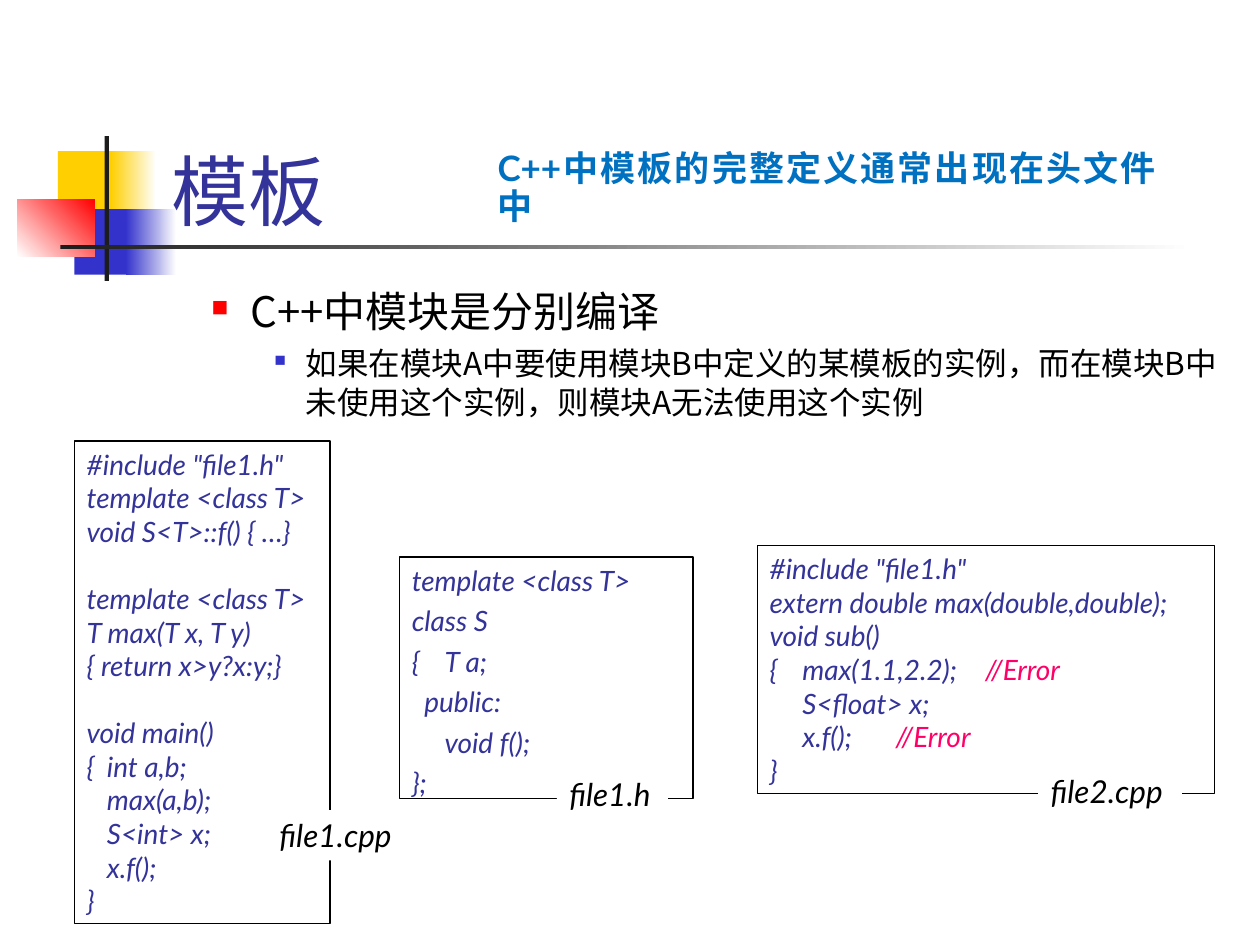
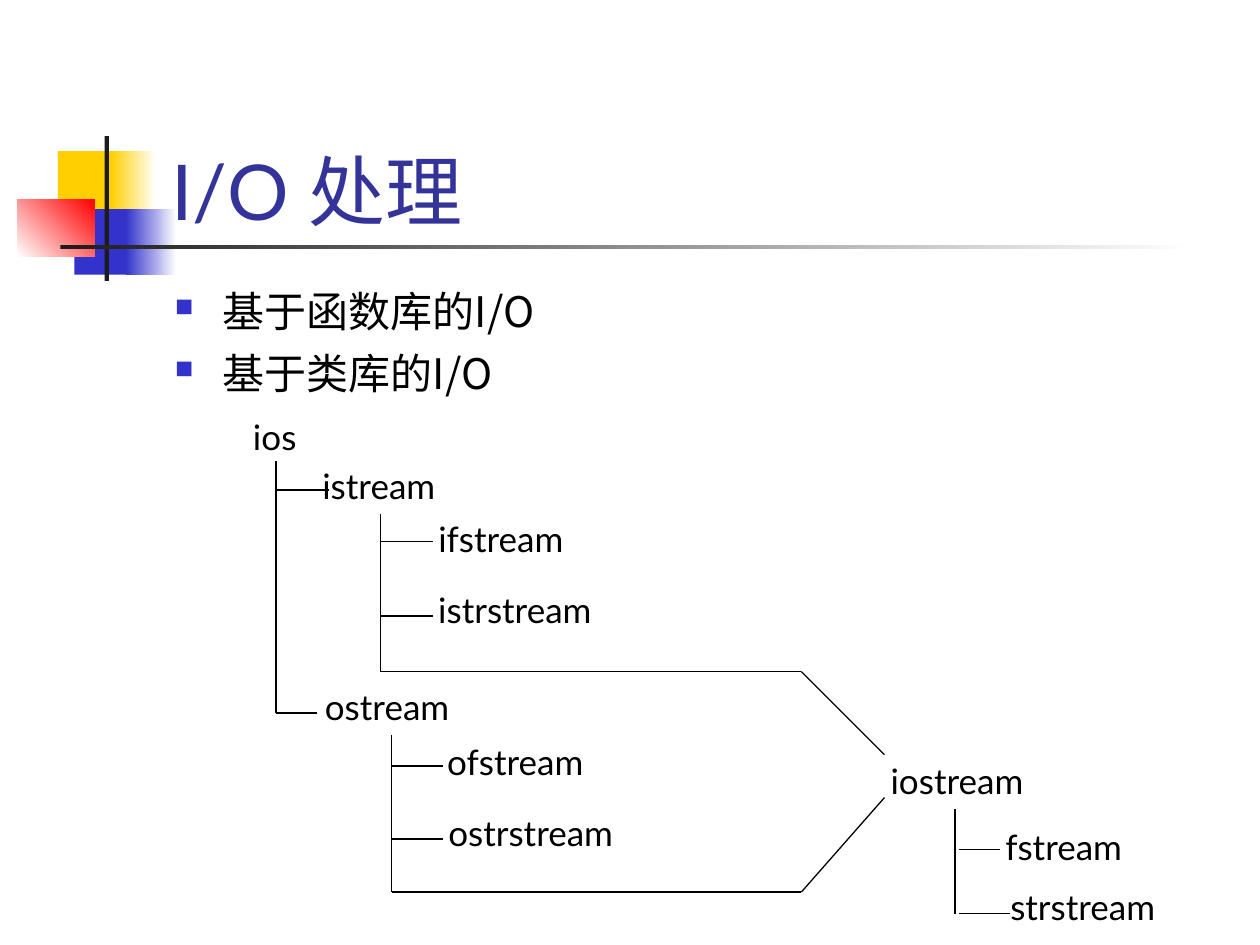
from pptx import Presentation, util as u
from pptx.dml.color import RGBColor
from pptx.enum import shapes, text
from pptx.oxml.ns import qn
from lxml import etree

LATIN, HAN = "Lato", "Noto Sans CJK SC"
INK, NAVY, BLUE, RED = "000000", "333399", "3333CC", "FF0000"
GOLD, DARK, WHITE, SKY, PINK = "FFCF01", "1C1C1C", "FFFFFF", "0070C0", "FF0066"
COLS, ROWS = 100, 75


def color(code):
    return RGBColor.from_string(code)


def sub(node, tag, **attrs):
    return etree.SubElement(node, qn(tag), attrs)


class Deck:
    """Holds the style and the current slide; lengths are grid cells."""

    def __init__(self):
        self.prs = Presentation()
        self.prs.slide_width = u.Inches(10)
        self.prs.slide_height = u.Inches(7.5)
        self.cell = self.prs.slide_width / COLS

    def grid(self, *cells):
        return [u.Emu(round(c * self.cell)) for c in cells]

    def slide(self, title):
        self.page = self.prs.slides.add_slide(self.prs.slide_layouts[5])
        self.bands()
        head = self.page.shapes.title
        # Keep the title in front of the bands
        self.page.shapes._spTree.append(head._element)
        head.left, head.top, head.width, head.height = self.grid(12.6, 6.7, 85.2, 12.5)
        frame = self.frame(head)
        frame.vertical_anchor = text.MSO_ANCHOR.BOTTOM
        self.para(frame, 0, title, 44, NAVY)

    def bands(self):
        for at, tint, end, angle in (
            ((4.6, 12, 4.8, 5.2), GOLD, None, 0),
            ((8.8, 12, 3.6, 5.2), GOLD, WHITE, 0),
            ((5.9, 16.6, 4.6, 5.2), BLUE, None, 0),
            ((10, 16.6, 4, 5.2), BLUE, WHITE, 0),
            ((1.4, 15.8, 6.1, 4.6), WHITE, RED, 45),
            ((8.3, 10.8, 0.35, 11.5), DARK, None, 0),
            ((4.8, 19.45, 90, 0.35), DARK, WHITE, 0),
        ):
            self.rect(at, tint, end, angle)

    def rect(self, at, tint=None, end=None, angle=0, edge=None):
        box = self.page.shapes.add_shape(shapes.MSO_SHAPE.RECTANGLE, *self.grid(*at))
        box.shadow.inherit = False
        if end:
            box.fill.gradient()
            box.fill.gradient_angle = angle
            for stop, code in zip(box.fill.gradient_stops, (tint, end)):
                stop.color.rgb = color(code)
        elif tint:
            box.fill.solid()
            box.fill.fore_color.rgb = color(tint)
        else:
            box.fill.background()
        if edge:
            box.line.color.rgb = color(edge)
            box.line.width = u.Pt(0.75)
        else:
            box.line.fill.background()
        return box

    def frame(self, box):
        frame = box.text_frame
        frame.word_wrap = True
        frame.auto_size = text.MSO_AUTO_SIZE.NONE
        frame.vertical_anchor = text.MSO_ANCHOR.TOP
        return frame

    def para(self, frame, index, words, size, tint, face=LATIN, **font):
        para = frame.paragraphs[0] if index == 0 else frame.add_paragraph()
        para.alignment = text.PP_ALIGN.LEFT
        para.font.size, para.font.name = u.Pt(size), face
        para.font.color.rgb = color(tint)
        for key, value in font.items():
            setattr(para.font, key, value)
        para.add_run().text = words
        return para

    def label(self, at, words, size=20, tint=INK, **font):
        box = self.page.shapes.add_textbox(*self.grid(*at))
        return self.para(self.frame(box), 0, words, size, tint, **font)

    def tag(self, at, words):
        self.para(self.frame(self.rect(at, WHITE)), 0, words, 18, INK, italic=True)

    def bullets(self, at, items):
        box = self.page.shapes.add_textbox(*self.grid(*at))
        frame = self.frame(box)
        for i, (words, size, margin, hang, before, tint, share) in enumerate(items):
            para = self.para(frame, i, words, size, INK, HAN)
            para.space_before = u.Pt(before)
            para.line_spacing = u.Pt(size * 1.22)
            props = para._p.get_or_add_pPr()
            left, indent = self.grid(margin, -hang)
            props.set("marL", str(left))
            props.set("indent", str(indent))
            marks = [etree.Element(qn(t)) for t in ("a:buClr", "a:buSzPct", "a:buChar")]
            sub(marks[0], "a:srgbClr", val=tint)
            marks[1].set("val", str(share * 1000))
            marks[2].set("char", "■")
            rest = props.find(qn("a:defRPr"))
            for mark in marks:
                rest.addprevious(mark)

    def code(self, at, lines, stops, gap=0):
        """Lines of code; an empty line becomes space before the next one."""
        frame = self.frame(self.rect(at, edge=INK))
        index, skip = 0, 0
        for line in lines:
            if not line:
                skip = 19.2
                continue
            line, tabs = line if isinstance(line, tuple) else (line, stops)
            words, slash, note = line.partition("//")
            para = self.para(frame, index, words, 16, NAVY, italic=True)
            if note:
                run = para.add_run()
                run.text = slash + note
                run.font.color.rgb = color(PINK)
            para.space_before = u.Pt(gap + skip)
            holder = etree.Element(qn("a:tabLst"))
            for pos in self.grid(*tabs):
                sub(holder, "a:tab", pos=str(pos), algn="l")
            para._p.pPr.find(qn("a:defRPr")).addprevious(holder)
            index, skip = index + 1, 0

    def line(self, *ends):
        link = self.page.shapes.add_connector(shapes.MSO_CONNECTOR.STRAIGHT, *self.grid(*ends))
        link.line.color.rgb = color(INK)
        link.line.width = u.Pt(0.75)
        sub(link._element.spPr, "a:effectLst")

    def tree(self, x, top, foot, *twigs):
        """A trunk with twigs, each given as start, end and height."""
        self.line(x, top, x, foot)
        for start, end, y in twigs:
            self.line(start, y, end, y)


def templates(deck):
    deck.slide("模板")
    deck.bullets((10.8, 22.1, 87.1, 45), [
        ("C++中模块是分别编译", 24, 8.1, 3.1, 6, RED, 55),
        ("如果在模块A中要使用模块B中定义的某模板的实例，而在模块B中未使用这个实例，"
         "则模块A无法使用这个实例", 18, 12.5, 2.5, 4.5, BLUE, 50),
    ])

    # Source files
    deck.code((5.9, 35, 20.3, 38.3), [
        '#include "file1.h"', "template <class T>", "void S<T>::f() { …}", "",
        "template <class T>", "T max(T x, T y)", "{ return x>y?x:y;}", "",
        "void main()", "{\tint a,b;", "\tmax(a,b);", "\tS<int> x;", "\tx.f();", "}",
    ], [1.6])
    deck.code((31.7, 44.2, 23.3, 19.2), [
        "template <class T>", "class S", "{\tT a;", ("\tpublic:", [1]), "\tvoid f();", "};",
    ], [2.6], gap=4)
    deck.code((60.1, 43.3, 36.3, 19.7), [
        '#include "file1.h"', "extern double max(double,double);", "void sub()",
        "{\tmax(1.1,2.2);\t//Error", "\tS<float> x;", "\tx.f();\t//Error", "}",
    ], [2.6, 10, 17.1])

    # File names on the frames
    deck.tag((21.2, 64.3, 11.4, 4), "file1.cpp")
    deck.tag((44.2, 61, 8.8, 4), "file1.h")
    deck.tag((82.4, 60.8, 11.4, 4), "file2.cpp")

    note = deck.label((38.5, 11.5, 54.2, 4), "C++中模板的完整定义通常出现在头文件中",
                      tint=SKY, bold=True)
    note.alignment = text.PP_ALIGN.JUSTIFY
    note.line_spacing, note.space_before = 0.9, u.Pt(5)


def streams(deck):
    deck.slide("I/O 处理")
    deck.bullets((12.9, 22.1, 85, 45), [
        (words, 24, 3.8, 3.8, 6, BLUE, 60) for words in ("基于函数库的I/O", "基于类库的I/O")
    ])

    # Class names
    for x, y, wide, name in (
        (19.1, 32.5, 5.7, "ios"), (24.6, 36.4, 11.9, "istream"),
        (33.8, 40.6, 12.9, "ifstream"), (33.8, 46.2, 15.4, "istrstream"),
        (24.8, 53.9, 12.9, "ostream"), (34.5, 58.3, 13.8, "ofstream"),
        (34.6, 63.9, 16.4, "ostrstream"), (69.7, 59.8, 13.6, "iostream"),
        (78.8, 65, 12.2, "fstream"), (79.2, 69.8, 14.7, "strstream"),
    ):
        deck.label((x, y, wide, 4.4), name)

    # Inheritance lines
    deck.tree(21.9, 36.6, 56.6, (21.9, 26.1, 38.9), (21.9, 25.2, 56.6))
    deck.tree(30.2, 40.8, 53.3, (30.2, 34.4, 43), (30.2, 34.4, 48.9), (30.2, 63.6, 53.3))
    deck.tree(31.1, 58.3, 70.8, (31.1, 35.2, 60.8), (31.1, 35.2, 66.6), (31.1, 63.6, 70.8))
    deck.tree(75.8, 64.2, 72.5, (76.1, 79.4, 67.4), (76.1, 80.2, 72.5))
    deck.line(63.6, 53.3, 70.2, 59.9)
    deck.line(63.6, 70.8, 70.2, 63.3)


def main():
    deck = Deck()
    templates(deck)
    streams(deck)
    deck.prs.save("out.pptx")


if __name__ == "__main__":
    main()
